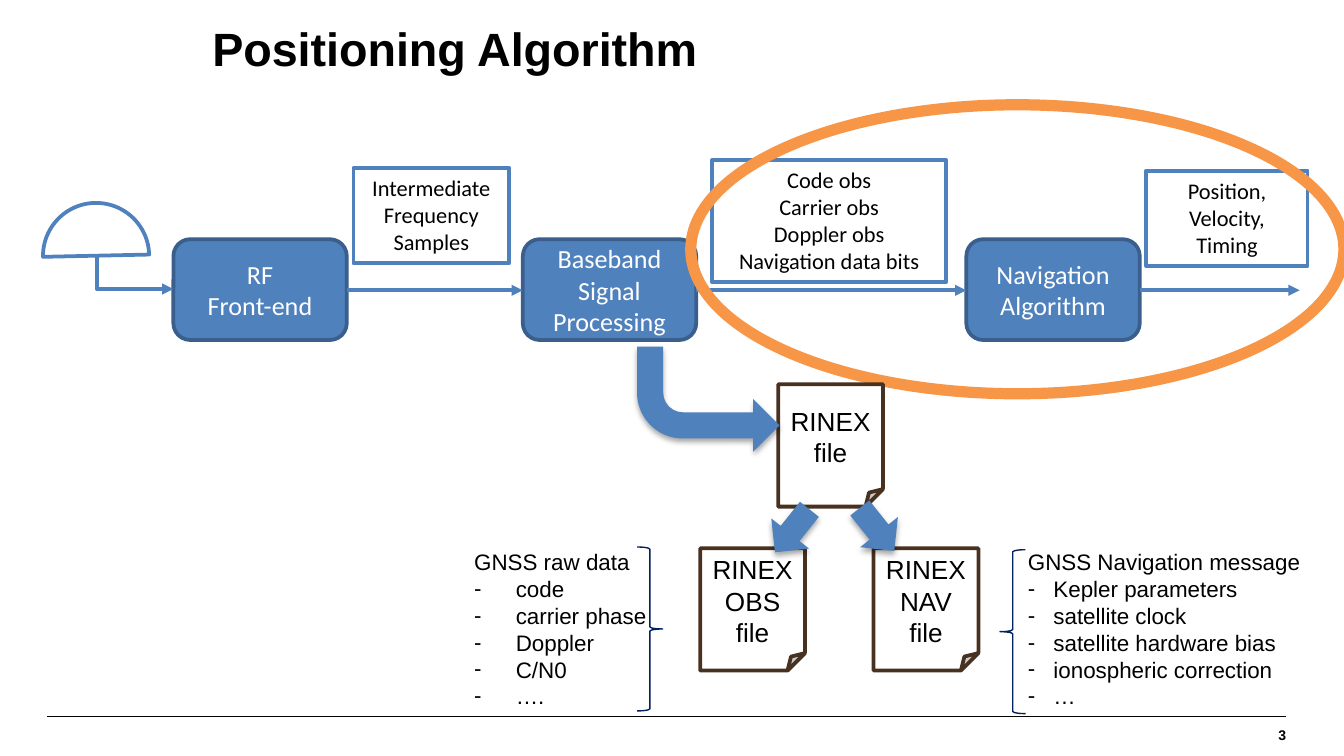
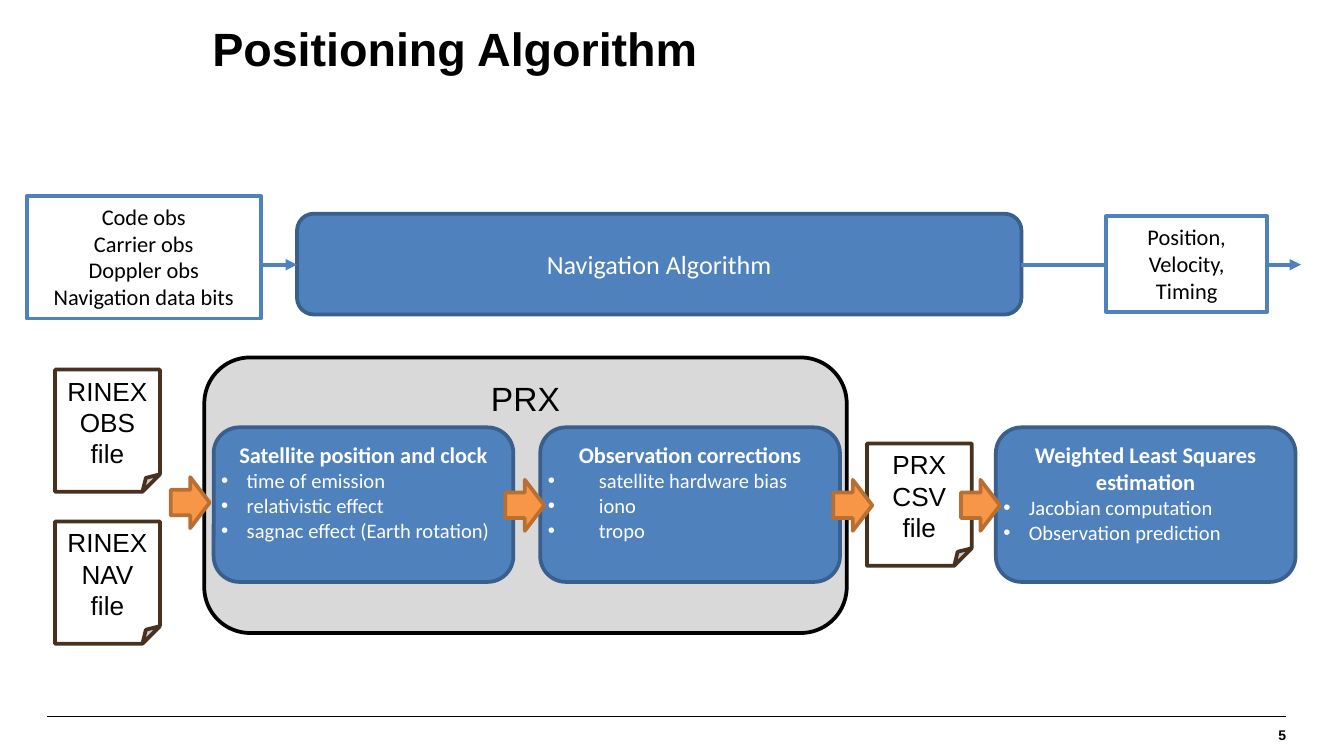
from dataclasses import dataclass

from lxml import etree
from pptx import Presentation
from pptx import util as u
from pptx.dml.color import RGBColor
from pptx.enum import shapes, text
from pptx.oxml.ns import qn

MSO = shapes.MSO_SHAPE
ALIGN = text.PP_ALIGN
ANCHOR = text.MSO_ANCHOR


@dataclass(frozen=True)
class Theme:
    head_font: str = "Arial"
    box_font: str = "Calibri"
    black: str = "000000"
    white: str = "FFFFFF"
    blue: str = "4F81BD"
    blue_edge: str = "3A5F8C"
    orange: str = "F79646"
    orange_edge: str = "B76F34"
    brown: str = "49311F"
    navy: str = "002060"
    grey: str = "D9D9D9"
    title: float = 25
    group: float = 18
    block: float = 14
    label: float = 12
    detail: float = 11
    number: float = 7.5
    line: float = 2


T = Theme()
OBSERVABLES = ["Code obs", "Carrier obs", "Doppler obs", "Navigation data bits"]
SOLUTION = ["Position, Velocity, Timing"]
OBS_FILE = ["RINEX OBS\vfile"]
NAV_FILE = ["RINEX", "NAV\vfile"]


# ---- Text and XML helpers ----
def sub(parent, tag, **attrs):
    el = etree.SubElement(parent, qn(tag))
    for name, value in attrs.items():
        el.set(name, str(value))
    return el


def frame(tf, anchor=ANCHOR.MIDDLE, side=0.1, top=0.05):
    tf.word_wrap = True
    tf.auto_size = text.MSO_AUTO_SIZE.NONE
    tf.vertical_anchor = anchor
    tf.margin_left = tf.margin_right = u.Inches(side)
    tf.margin_top = tf.margin_bottom = u.Inches(top)
    return tf


def style(p, font, size, color, bold=False, align=ALIGN.CENTER):
    p.alignment = align
    p.font.name, p.font.size, p.font.bold = font, u.Pt(size), bold
    p.font.color.rgb = RGBColor.from_string(color)


def write(tf, lines, font, size, color, **kw):
    for i, line in enumerate(lines):
        p = tf.paragraphs[0] if i == 0 else tf.add_paragraph()
        p.text = line
        style(p, font, size, color, **kw)


def add_bullets(tf, items, char, indent, font, size, color):
    for item in items:
        p = tf.add_paragraph()
        p.text = item
        style(p, font, size, color, align=ALIGN.LEFT)
        pPr = p._p.get_or_add_pPr()
        pPr.set("marL", str(u.Inches(indent)))
        pPr.set("indent", str(-u.Inches(indent)))
        sub(pPr, "a:buFont", typeface=T.head_font)
        sub(pPr, "a:buChar", char=char)


# ---- Shapes ----
def add_shape(s, kind, box, fill=None, line=None, width=T.line, rot=0, flip=False):
    sp = s.shapes.add_shape(kind, *map(u.Inches, box))
    sp.shadow.inherit = False
    if fill:
        sp.fill.solid()
        sp.fill.fore_color.rgb = RGBColor.from_string(fill)
    else:
        sp.fill.background()
    if line:
        sp.line.color.rgb = RGBColor.from_string(line)
        sp.line.width = u.Pt(width)
    else:
        sp.line.fill.background()
    sp.rotation = rot
    if flip:
        sp._element.spPr.find(qn("a:xfrm")).set("flipH", "1")
    return sp


def add_line(s, x1, y1, x2, y2, color=T.blue, width=T.line, arrow=True,
             kind=shapes.MSO_CONNECTOR.STRAIGHT):
    cx = s.shapes.add_connector(kind, *map(u.Inches, (x1, y1, x2, y2)))
    cx.line.color.rgb = RGBColor.from_string(color)
    cx.line.width = u.Pt(width)
    if arrow:
        sub(cx.line._get_or_add_ln(), "a:tailEnd", type="triangle")
    sub(cx._element.spPr, "a:effectLst")
    return cx


def add_block(s, x, y, w, label):
    sp = add_shape(s, MSO.ROUNDED_RECTANGLE, (x, y, w, 0.75), T.blue, T.blue_edge)
    write(frame(sp.text_frame), [label], T.box_font, T.block, T.white)


def add_label(s, box, lines):
    sp = add_shape(s, MSO.RECTANGLE, box, T.white, T.blue)
    write(frame(sp.text_frame, ANCHOR.TOP), lines, T.box_font, T.label, T.black)


def add_file(s, x, y, lines):
    sp = add_shape(s, MSO.FOLDED_CORNER, (x, y, 0.78, 0.91), T.white, T.brown)
    write(frame(sp.text_frame, side=0), lines, T.head_font, T.block, T.black)


def add_card(s, x, heading, items, indent=0.19):
    sp = add_shape(s, MSO.ROUNDED_RECTANGLE, (x, 3.18, 2.23, 1.15), T.blue, T.blue_edge)
    tf = frame(sp.text_frame, ANCHOR.TOP, side=0)
    write(tf, [heading], T.box_font, T.label, T.white, bold=True)
    add_bullets(tf, items, "•", indent, T.box_font, T.detail, T.white)


def add_contents(s, x, w, heading, items, indent):
    tb = s.shapes.add_textbox(*map(u.Inches, (x, 4.03, w, 1.31)))
    tf = frame(tb.text_frame, ANCHOR.TOP)
    tf.word_wrap = False
    tf.auto_size = text.MSO_AUTO_SIZE.SHAPE_TO_FIT_TEXT
    write(tf, [heading], T.head_font, T.label, T.black, align=ALIGN.LEFT)
    add_bullets(tf, items, "-", indent, T.head_font, T.label, T.black)


def add_blue_arrow(s, kind, box, rot, flip):
    sp = add_shape(s, kind, box, T.blue, rot=rot, flip=flip)
    effects = sp._element.spPr.find(qn("a:effectLst"))
    shadow = sub(effects, "a:outerShdw", blurRad=u.Pt(3.1), dist=u.Pt(1.8),
                 dir=90 * 60000, rotWithShape=0)
    sub(sub(shadow, "a:srgbClr", val=T.black), "a:alpha", val=35000)


def add_antenna(s):
    dish = add_shape(s, MSO.CHORD, (0.32, 1.51, 0.79, 0.79), T.white, T.blue, rot=134.1)
    dish.adjustments[0], dish.adjustments[1] = 27, 134.61


def add_antenna_cable(s):
    # Down from the dish, then right into the front-end
    cx = add_line(s, 1.13, 1.74, 0.88, 2.31, kind=shapes.MSO_CONNECTOR.ELBOW)
    spPr = cx._element.spPr
    spPr.find(qn("a:xfrm")).set("rot", str(270 * 60000))
    spPr.find(qn("a:prstGeom")).set("prst", "bentConnector2")


# ---- Shared slide parts ----
def add_footer_rule(layout, s):
    rule = add_line(s, 0.35, 5.33, 9.57, 5.33, T.black, 0.8, arrow=False)
    layout.shapes.element.append(rule._element)


def add_heading(s, number):
    title = s.shapes.title
    title.left, title.top, title.width, title.height = map(u.Inches, (1.46, 0.09, 8.4, 0.59))
    tf = frame(title.text_frame)
    write(tf, ["Positioning Algorithm"], T.head_font, T.title, T.black,
          bold=True, align=ALIGN.LEFT)
    tf.paragraphs[0].line_spacing = 0.9
    tf.paragraphs[0]._p.get_or_add_pPr().set("marL", str(u.Inches(0.02)))
    tb = s.shapes.add_textbox(*map(u.Inches, (8.09, 5.32, 1.48, 0.3)))
    write(frame(tb.text_frame, side=0, top=0), [number], T.head_font, T.number, T.black,
          bold=True, align=ALIGN.RIGHT)


# ---- Slides ----
def build_receiver(s):
    add_heading(s, "3")

    # Receiver chain
    add_antenna(s)
    for x, label in ((1.29, "RF\vFront-end"), (3.89, "Baseband Signal Processing"),
                     (7.19, "Navigation Algorithm")):
        add_block(s, x, 1.78, 1.29, label)
    add_antenna_cable(s)
    for x1, x2 in ((2.58, 3.89), (5.18, 7.19), (8.48, 9.67)):
        add_line(s, x1, 2.16, x2, 2.16)
    add_label(s, (2.63, 1.25, 1.16, 0.71), ["Intermediate Frequency Samples"])
    add_label(s, (5.3, 1.19, 1.74, 0.91), OBSERVABLES)
    add_label(s, (8.53, 1.27, 1.2, 0.71), SOLUTION)
    add_shape(s, MSO.OVAL, (5.14, 0.78, 4.86, 2.15), line=T.orange, width=6)

    # RINEX files and what they hold
    add_file(s, 5.79, 2.86, ["RINEX file"])
    add_file(s, 5.21, 4.08, OBS_FILE)
    add_file(s, 6.5, 4.08, NAV_FILE)
    add_contents(s, 3.43, 1.5, "GNSS raw data",
                 ["code", "carrier phase", "Doppler", "C/N0", "…."], 0.31)
    add_contents(s, 7.55, 2.24, "GNSS Navigation message",
                 ["Kepler parameters", "satellite clock", "satellite hardware bias",
                  "ionospheric correction", "…"], 0.19)
    for x, y, flip in ((4.74, 4.07, False), (7.44, 4.09, True)):
        add_shape(s, MSO.RIGHT_BRACE, (x, y, 0.19, 1.22), line=T.navy, width=0.75, flip=flip)

    # Flow into the files
    add_blue_arrow(s, MSO.RIGHT_ARROW, (6.32, 3.76, 0.41, 0.36), 51.3, False)
    add_blue_arrow(s, MSO.RIGHT_ARROW, (5.69, 3.77, 0.41, 0.36), 308.7, True)
    add_blue_arrow(s, MSO.BENT_ARROW, (4.74, 2.58, 1.06, 0.78), 180, True)


def build_navigation(s):
    # PRX group
    prx = add_shape(s, MSO.ROUNDED_RECTANGLE, (1.52, 2.66, 4.78, 2.05), T.grey, T.black)
    write(frame(prx.text_frame, ANCHOR.TOP), ["PRX"], T.head_font, T.group, T.black)
    add_heading(s, "5")

    # Processing steps and files
    add_card(s, 1.59, "Satellite position and clock",
             ["time of emission", "relativistic effect", "sagnac effect (Earth rotation)"])
    add_card(s, 4.02, "Observation corrections",
             ["satellite hardware bias", "iono", "tropo"], indent=0.38)
    add_card(s, 7.41, "Weighted Least Squares estimation",
             ["Jacobian computation", "Observation prediction"])
    add_file(s, 0.41, 2.75, OBS_FILE)
    add_file(s, 0.41, 3.88, NAV_FILE)
    add_file(s, 6.45, 3.3, ["PRX CSV\vfile"])
    for x, y in ((1.27, 3.55), (3.76, 3.57), (6.2, 3.57), (7.15, 3.57)):
        add_shape(s, MSO.RIGHT_ARROW, (x, y, 0.29, 0.38), T.orange, T.orange_edge)

    # Algorithm chain
    add_block(s, 2.21, 1.59, 5.39, "Navigation Algorithm")
    for x1, x2 in ((0.5, 2.21), (7.6, 9.68)):
        add_line(s, x1, 1.97, x2, 1.97)
    add_label(s, (0.2, 1.46, 1.74, 0.91), OBSERVABLES)
    add_label(s, (8.23, 1.61, 1.2, 0.71), SOLUTION)


def main():
    prs = Presentation()
    # Widescreen, 16:9
    prs.slide_width = u.Inches(10)
    prs.slide_height = prs.slide_width * 9 // 16
    layout = prs.slide_layouts[5]
    receiver, navigation = (prs.slides.add_slide(layout) for _ in range(2))
    add_footer_rule(layout, receiver)
    build_receiver(receiver)
    build_navigation(navigation)
    prs.save("out.pptx")


if __name__ == "__main__":
    main()
